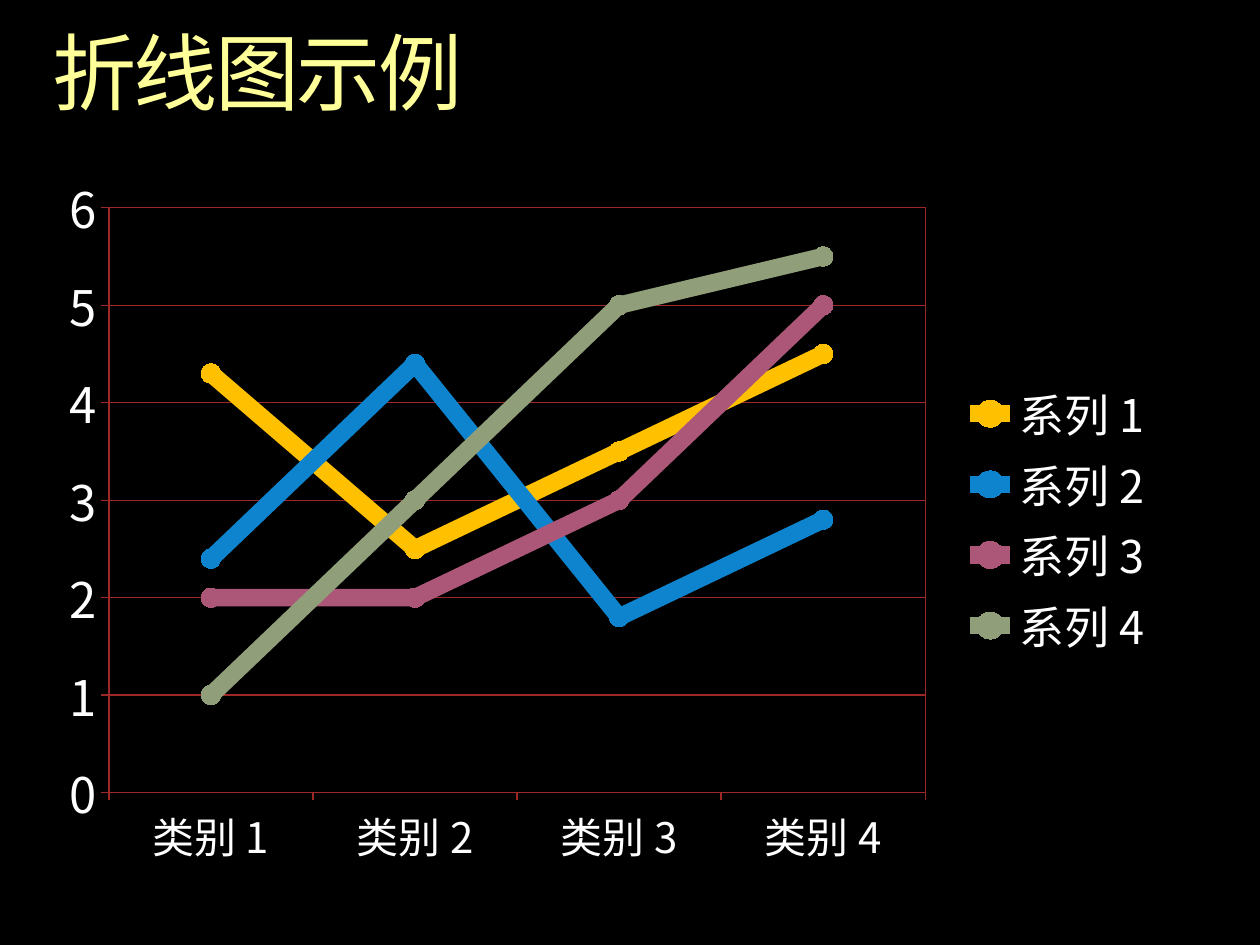
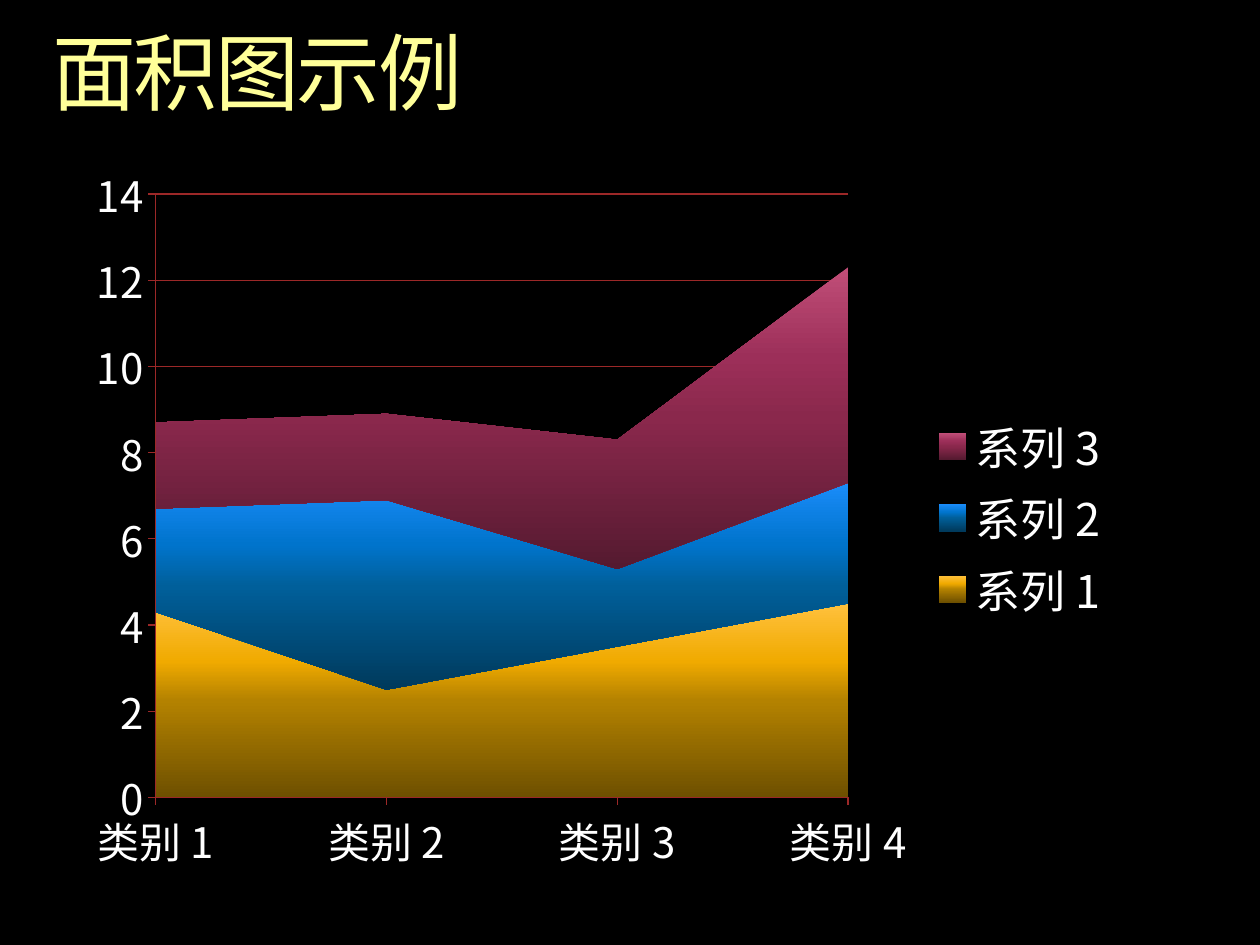
"""Build two dark chart slides: a line chart and a stacked area chart."""
from dataclasses import dataclass

from lxml import etree
from pptx import Presentation
from pptx.chart.data import CategoryChartData
from pptx.dml.color import RGBColor
from pptx.enum.chart import XL_CHART_TYPE, XL_LEGEND_POSITION, XL_MARKER_STYLE, XL_TICK_MARK
from pptx.oxml import parse_xml
from pptx.oxml.ns import nsdecls, qn
from pptx.util import Pt

LINE = XL_CHART_TYPE.LINE_MARKERS
AREA = XL_CHART_TYPE.AREA_STACKED
LEGEND_RIGHT = XL_LEGEND_POSITION.RIGHT
CIRCLE = XL_MARKER_STYLE.CIRCLE
TICK_OUTSIDE = XL_TICK_MARK.OUTSIDE
TICK_NONE = XL_TICK_MARK.NONE


@dataclass(frozen=True)
class Theme:
    """Colours, fonts and sizes shared by the slides."""
    background: str = "000000"
    title: str = "FFFF99"
    label: str = "FFFFFF"
    grid: str = "9C2828"
    font: str = "Noto Sans CJK SC"
    chart_font: str = "Calibri"
    title_size: float = 48
    chart_size: float = 18
    category_size: float = 24
    legend_size: float = 25.7
    grid_width: float = 0.75
    series_width: float = 10
    marker_size: int = 11


@dataclass(frozen=True)
class Series:
    """One data series with its flat colour and its shading from top to bottom."""
    name: str
    values: tuple[float, ...]
    color: str
    shades: tuple[str, ...] = ()


@dataclass(frozen=True)
class Frame:
    """A rectangle, in points or as fractions of its chart."""
    left: float
    top: float
    width: float
    height: float


@dataclass(frozen=True)
class ChartSlide:
    """Everything that differs between the chart slides."""
    title: str
    kind: XL_CHART_TYPE
    series: tuple[Series, ...]
    frame: Frame
    plot: Frame
    legend: Frame
    value_size: float
    maximum: float
    step: float


THEME = Theme()
SHADE_STOPS = (0, 30, 50, 100)
CATEGORIES = tuple(f"类别 {number}" for number in range(1, 5))
SERIES = (
    Series("系列 1", (4.3, 2.5, 3.5, 4.5), "FFC000", ("FFC13D", "F0AA00", "B48200", "6E5000")),
    Series("系列 2", (2.4, 4.4, 1.8, 2.8), "0D84CD", ("1A8CFA", "0074CC", "005F9A", "003A5C")),
    Series("系列 3", (2, 2, 3, 5), "AD5778", ("C14E78", "9C2F59", "8A284C", "551A30")),
    Series("系列 4", (1, 3, 5, 5.5), "919E7A"),
)
SLIDES = (
    ChartSlide("折线图示例", LINE, SERIES, Frame(27.4, 90.7, 644.4, 412.6),
               Frame(0.054, 0.068, 0.724, 0.81), Frame(0.8, 0.3, 0.19, 0.4), 28, 6, 1),
    ChartSlide("面积图示例", AREA, SERIES[:3], Frame(40.3, 85.7, 616.3, 420.5),
               Frame(0.079, 0.06, 0.642, 0.82), Frame(0.78, 0.35, 0.2, 0.3), 24, 14, 2),
)


def style_font(font, size: float, color: str) -> None:
    """Set size, colour and both Latin and East Asian typefaces."""
    font.size = Pt(size)
    font.color.rgb = RGBColor.from_string(color)
    font.name = THEME.font
    latin = font._element.find(qn("a:latin")) if hasattr(font, "_element") else font._rPr.find(qn("a:latin"))
    east_asian = etree.Element(qn("a:ea"), typeface=THEME.font)
    latin.addnext(east_asian)


def style_line(line, color: str, width: float) -> None:
    """Give a line a solid colour and a width."""
    line.color.rgb = RGBColor.from_string(color)
    line.width = Pt(width)


def layout_xml(frame: Frame, inner: bool):
    """Return a manual layout element for a part of a chart."""
    target = '<c:layoutTarget val="inner"/>' if inner else ""
    return parse_xml(
        f'<c:layout {nsdecls("c")}><c:manualLayout>{target}'
        '<c:xMode val="edge"/><c:yMode val="edge"/>'
        f'<c:x val="{frame.left}"/><c:y val="{frame.top}"/>'
        f'<c:w val="{frame.width}"/><c:h val="{frame.height}"/>'
        '</c:manualLayout></c:layout>')


def place_part(part, frame: Frame, index: int, inner: bool = False) -> None:
    """Replace the layout of a plot area or legend."""
    for layout in part.findall(qn("c:layout")):
        part.remove(layout)
    part.insert(index, layout_xml(frame, inner))


def add_title(slide, title: str) -> None:
    """Add the slide title."""
    box = slide.shapes.add_textbox(Pt(30), Pt(18), Pt(660), Pt(52.6))
    text_frame = box.text_frame
    text_frame.word_wrap = True
    text_frame.margin_left = text_frame.margin_right = 0
    text_frame.margin_top = text_frame.margin_bottom = 0
    text_frame.text = title
    para = text_frame.paragraphs[0]
    para.line_spacing = 0.9
    span = para.runs[0]
    style_font(span.font, THEME.title_size, THEME.title)
    span._r.get_or_add_rPr().set("spc", "-150")


def style_axis(axis, size: float) -> None:
    """Style the line, ticks and labels of an axis."""
    axis.major_tick_mark = TICK_OUTSIDE
    axis.minor_tick_mark = TICK_NONE
    style_line(axis.format.line, THEME.grid, THEME.grid_width)
    style_font(axis.tick_labels.font, size, THEME.label)


def style_axes(chart, content: ChartSlide) -> None:
    """Style both axes, the scale and the gridlines."""
    style_axis(chart.category_axis, THEME.category_size)
    values = chart.value_axis
    style_axis(values, content.value_size)
    values.minimum_scale, values.maximum_scale = 0, content.maximum
    values.major_unit = content.step
    values.tick_labels.number_format = "General"
    values.tick_labels.number_format_is_linked = False
    values.has_major_gridlines = True
    style_line(values.major_gridlines.format.line, THEME.grid, THEME.grid_width)


def style_line_series(plot_series, series: Series) -> None:
    """Draw a series as a thick straight line with round markers."""
    plot_series.smooth = False
    style_line(plot_series.format.line, series.color, THEME.series_width)
    marker = plot_series.marker
    marker.style = CIRCLE
    marker.size = THEME.marker_size
    marker.format.fill.solid()
    marker.format.fill.fore_color.rgb = RGBColor.from_string(series.color)
    marker.format.line.fill.background()


def style_area_series(plot_series, series: Series) -> None:
    """Shade a series from light at the top to dark at the bottom."""
    plot_series.format.line.fill.background()
    stops = "".join(
        f'<a:gs pos="{position * 1000}"><a:srgbClr val="{shade}"/></a:gs>'
        for position, shade in zip(SHADE_STOPS, series.shades))
    gradient = parse_xml(
        f'<a:gradFill {nsdecls("a")} rotWithShape="1"><a:gsLst>{stops}</a:gsLst>'
        '<a:lin ang="5400000" scaled="0"/></a:gradFill>')
    plot_series._element.find(qn("c:spPr")).insert(0, gradient)


def add_plot_border(plot_area) -> None:
    """Outline the plot area in the grid colour."""
    plot_area.append(parse_xml(
        f'<c:spPr {nsdecls("c", "a")}><a:noFill/><a:ln w="{Pt(THEME.grid_width)}">'
        f'<a:solidFill><a:srgbClr val="{THEME.grid}"/></a:solidFill></a:ln></c:spPr>'))


def add_chart(slide, content: ChartSlide) -> None:
    """Add the chart with its axes, series and legend."""
    data = CategoryChartData()
    data.categories = CATEGORIES
    for series in content.series:
        data.add_series(series.name, series.values)
    frame = content.frame
    chart = slide.shapes.add_chart(content.kind, Pt(frame.left), Pt(frame.top),
                                   Pt(frame.width), Pt(frame.height), data).chart
    chart.has_title = False
    chart.font.size = Pt(THEME.chart_size)
    chart.font.name = THEME.chart_font
    style_axes(chart, content)

    plot = chart.plots[0]
    plot.vary_by_categories = False
    style_series = style_line_series if content.kind == LINE else style_area_series
    for plot_series, series in zip(plot.series, content.series):
        style_series(plot_series, series)

    plot_area = chart._chartSpace.chart.plotArea
    place_part(plot_area, content.plot, 0, inner=True)
    if content.kind == LINE:
        add_plot_border(plot_area)
    else:
        for crossing in plot_area.iter(qn("c:crossBetween")):
            crossing.set("val", "midCat")

    chart.has_legend = True
    legend = chart.legend
    legend.position = LEGEND_RIGHT
    legend.include_in_layout = False
    style_font(legend.font, THEME.legend_size, THEME.label)
    place_part(legend._element, content.legend, 1)


def main() -> None:
    """Build and save the deck."""
    deck = Presentation()
    deck.slide_width, deck.slide_height = Pt(720), Pt(540)
    for content in SLIDES:
        page = deck.slides.add_slide(deck.slide_layouts[6])
        fill = page.background.fill
        fill.solid()
        fill.fore_color.rgb = RGBColor.from_string(THEME.background)
        add_title(page, content.title)
        add_chart(page, content)
    deck.save("out.pptx")


if __name__ == "__main__":
    main()
